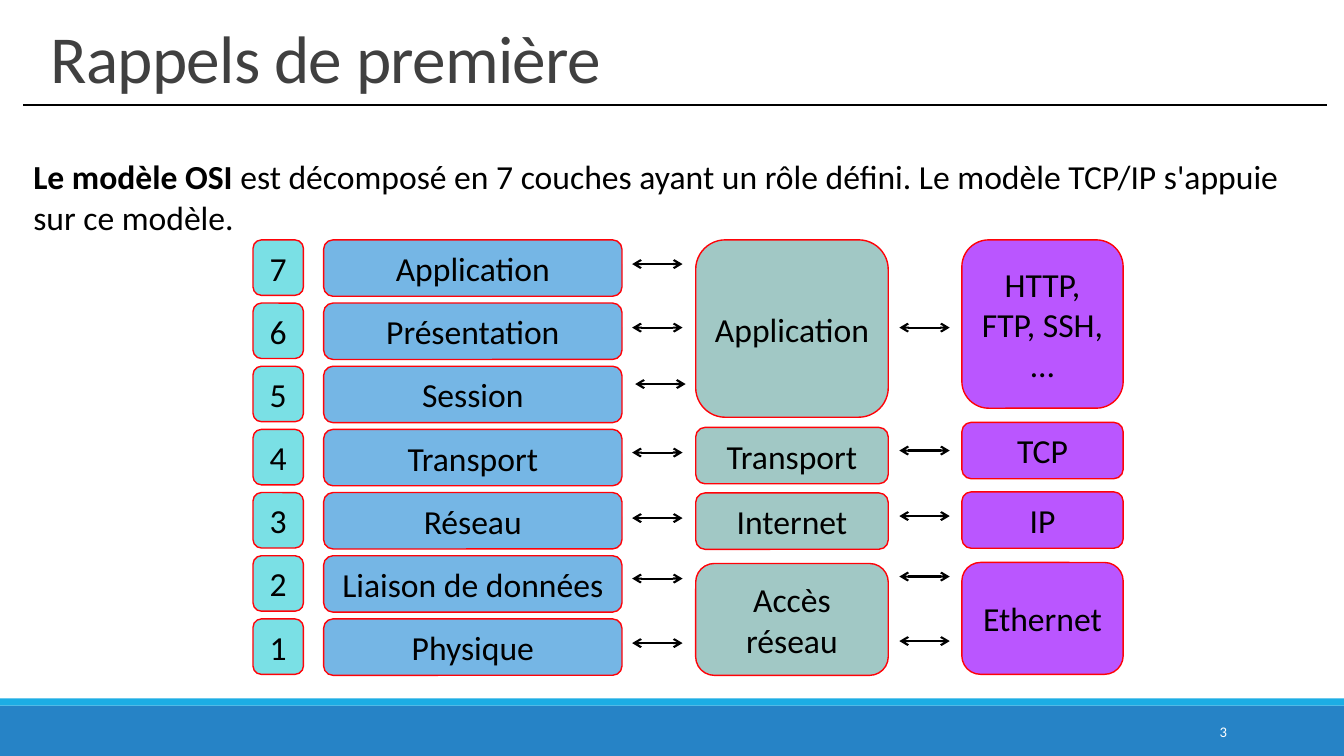
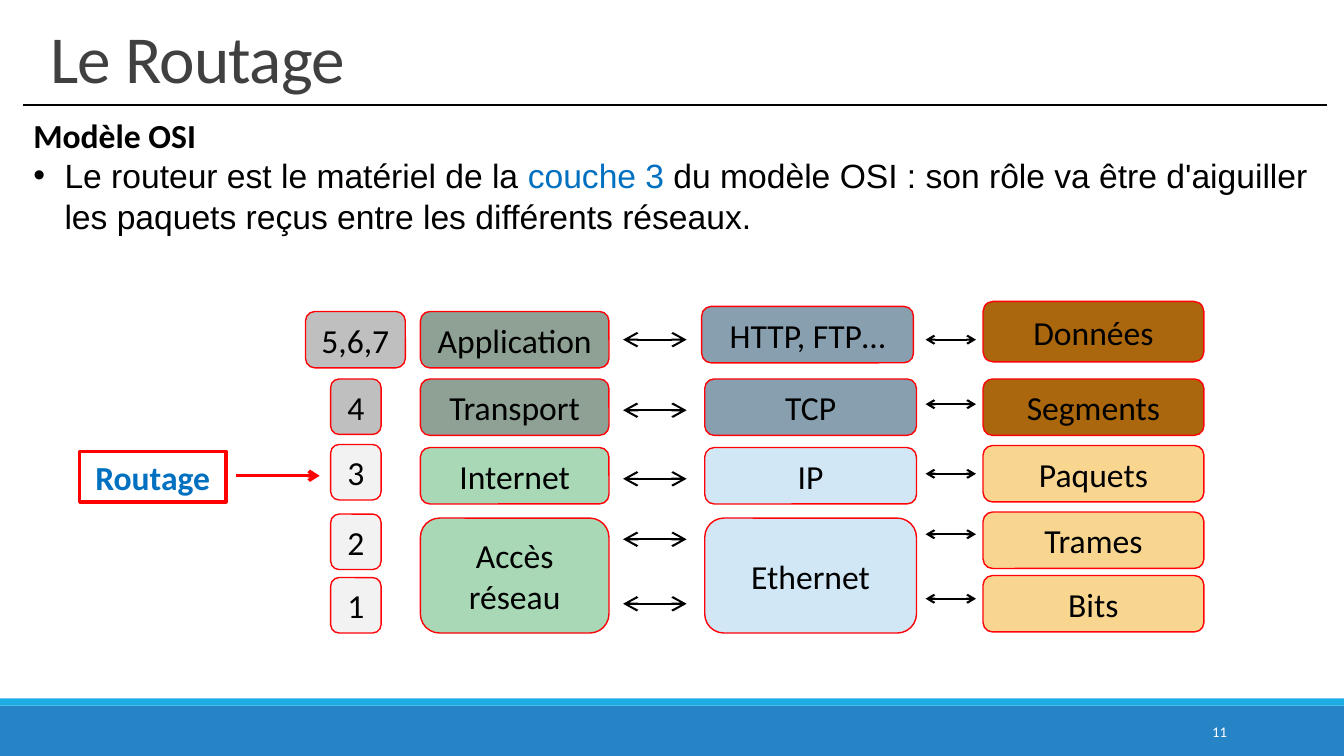
from dataclasses import dataclass
from typing import NamedTuple, Optional

from lxml import etree
from pptx import Presentation
from pptx import util as u
from pptx.dml.color import RGBColor
from pptx.enum import shapes, text
from pptx.oxml import ns

SLIDE_WIDTH, SLIDE_HEIGHT = 13.33, 7.5
MARGIN, CONTENT_WIDTH = 0.23, 12.93
BOX_HEIGHT, NUMBER_HEIGHT = 0.56, 0.55
STACK_TOP, STACK_STEP = 2.38, (6.14 - 2.38) / 6
BODY_SIZE = 24
BULLET_INDENT = 0.31

BLACK = RGBColor(0x00, 0x00, 0x00)
WHITE = RGBColor(0xFF, 0xFF, 0xFF)
TITLE_GREY = RGBColor(0x40, 0x40, 0x40)
BAND_BLUE = RGBColor(0x26, 0x83, 0xC6)
STRIPE_BLUE = RGBColor(0x1C, 0xAD, 0xE4)
ACCENT_BLUE = RGBColor(0x00, 0x70, 0xC0)
BOX_RED = RGBColor(0xFF, 0x02, 0x08)
PURE_RED = RGBColor(0xFF, 0x00, 0x00)


class Paint(NamedTuple):
    color: RGBColor
    opacity: int = 100


TURQUOISE = Paint(RGBColor(0x7A, 0xE0, 0xE5))
SKY = Paint(RGBColor(0x75, 0xB6, 0xE5))
SAGE = Paint(RGBColor(0xA1, 0xC8, 0xC5))
VIOLET = Paint(RGBColor(0xBA, 0x56, 0xFF))
GREY = Paint(RGBColor(0x80, 0x80, 0x80), 50)
PALE_GREY = Paint(RGBColor(0xF2, 0xF2, 0xF2))
DARK_GREEN = Paint(RGBColor(0x1F, 0x44, 0x2A), 50)
MINT = Paint(RGBColor(0xA9, 0xD8, 0xB7))
NAVY = Paint(RGBColor(0x13, 0x41, 0x63), 50)
ICE = Paint(RGBColor(0xD1, 0xE7, 0xF6))
BROWN = Paint(RGBColor(0xAB, 0x67, 0x0D))
SAND = Paint(RGBColor(0xF9, 0xD6, 0x8F))


class Cell(NamedTuple):
    label: str
    top: float
    paint: Paint
    height: float = BOX_HEIGHT


class Span(NamedTuple):
    words: str
    bold: bool = False
    color: RGBColor = BLACK


class Para(NamedTuple):
    spans: list[Span]
    font: str = "Calibri"
    bullet: bool = False


@dataclass(frozen=True)
class Column:
    left: float
    width: float
    cells: list[Cell]


@dataclass(frozen=True)
class ArrowLane:
    left: float
    width: float
    levels: list[float]
    head: str = "med"


@dataclass(frozen=True)
class Lesson:
    title: str
    number: int
    body_top: float
    body_height: float
    body: list[Para]
    columns: list[Column]
    lanes: list[ArrowLane]


def stack(labels: list[str], paint: Paint, height: float) -> list[Cell]:
    return [Cell(label, STACK_TOP + row * STACK_STEP, paint, height)
            for row, label in enumerate(labels)]


def style_font(font, size: float, color: RGBColor, name: str = "Calibri", bold: bool = False) -> None:
    font.size, font.name, font.bold = u.Pt(size), name, bold
    font.color.rgb = color


def place(shape, left: float, top: float, width: float, height: float) -> None:
    shape.left, shape.top = u.Inches(left), u.Inches(top)
    shape.width, shape.height = u.Inches(width), u.Inches(height)


def add_box(page, preset, left: float, top: float, width: float, height: float,
            paint: Optional[Paint] = None, border: Optional[RGBColor] = None,
            weight: float = 1):
    box = page.shapes.add_shape(preset, u.Inches(left), u.Inches(top),
                                u.Inches(width), u.Inches(height))
    box.shadow.inherit = False
    if paint:
        box.fill.solid()
        box.fill.fore_color.rgb = paint.color
        if paint.opacity < 100:
            tint = box._element.spPr.find(".//" + ns.qn("a:srgbClr"))
            etree.SubElement(tint, ns.qn("a:alpha")).set("val", str(paint.opacity * 1000))
    else:
        box.fill.background()
    if border:
        box.line.color.rgb = border
        box.line.width = u.Pt(weight)
    else:
        box.line.fill.background()
    return box


def write_label(box, label: str, size: float = BODY_SIZE, color: RGBColor = BLACK,
                bold: bool = False, align=text.PP_ALIGN.CENTER) -> None:
    frame = box.text_frame
    frame.word_wrap = True
    frame.vertical_anchor = text.MSO_ANCHOR.MIDDLE
    frame.margin_left = frame.margin_right = u.Inches(0.09)
    para = frame.paragraphs[0]
    para.text, para.alignment = label, align
    style_font(para.font, size, color, bold=bold)


def add_line(page, left: float, level: float, width: float, color: RGBColor = BLACK,
             weight: float = 1.5, start: bool = False, end: bool = False,
             head: str = "med") -> None:
    line = page.shapes.add_connector(
        shapes.MSO_CONNECTOR.STRAIGHT, u.Inches(left), u.Inches(level),
        u.Inches(left + width), u.Inches(level))
    line.line.color.rgb = color
    line.line.width = u.Pt(weight)
    properties = line._element.spPr
    outline = properties.find(ns.qn("a:ln"))
    for tag, shown in (("a:headEnd", start), ("a:tailEnd", end)):
        if shown:
            tip = etree.SubElement(outline, ns.qn(tag))
            tip.set("type", "arrow")
            tip.set("w", head)
            tip.set("len", head)
    etree.SubElement(properties, ns.qn("a:effectLst"))


def add_frame(page, title: str, number: int) -> None:
    for top, height, color in ((7, 0.5, BAND_BLUE), (6.93, 0.07, STRIPE_BLUE)):
        add_box(page, shapes.MSO_SHAPE.RECTANGLE, 0, top, SLIDE_WIDTH, height, Paint(color))
    footer = page.shapes.add_textbox(u.Inches(10.83), u.Inches(7.06),
                                     u.Inches(1.43), u.Inches(0.4))
    write_label(footer, str(number), 10.5, WHITE, align=text.PP_ALIGN.RIGHT)
    heading = page.shapes.title
    place(heading, 0.4, 0.15, CONTENT_WIDTH, 0.86)
    frame = heading.text_frame
    frame.auto_size = text.MSO_AUTO_SIZE.NONE
    frame.vertical_anchor = text.MSO_ANCHOR.BOTTOM
    para = frame.paragraphs[0]
    para.text, para.alignment, para.line_spacing = title, text.PP_ALIGN.LEFT, 0.85
    style_font(para.font, 48, TITLE_GREY)
    para.runs[0]._r.get_or_add_rPr().set("spc", "-50")
    add_line(page, MARGIN, 1.04, CONTENT_WIDTH, weight=1.25)


def write_body(page, lesson: Lesson) -> None:
    body = page.placeholders[1]
    place(body, MARGIN, lesson.body_top, CONTENT_WIDTH, lesson.body_height)
    frame = body.text_frame
    frame.auto_size = text.MSO_AUTO_SIZE.NONE
    frame.vertical_anchor = text.MSO_ANCHOR.TOP
    for index, item in enumerate(lesson.body):
        para = frame.add_paragraph() if index else frame.paragraphs[0]
        properties = para._p.get_or_add_pPr()
        indent = u.Inches(BULLET_INDENT) if item.bullet else 0
        properties.set("marL", str(indent))
        properties.set("indent", str(-indent))
        if item.bullet:
            etree.SubElement(properties, ns.qn("a:buFont")).set("typeface", "Arial")
            etree.SubElement(properties, ns.qn("a:buChar")).set("char", "•")
        else:
            etree.SubElement(properties, ns.qn("a:buNone"))
        para.space_before = u.Pt(0)
        para.alignment = text.PP_ALIGN.LEFT
        style_font(para.font, BODY_SIZE, BLACK, item.font)
        for part in item.spans:
            span = para.add_run()
            span.text = part.words
            span.font.bold = part.bold
            span.font.color.rgb = part.color


def add_lesson(deck, lesson: Lesson):
    page = deck.slides.add_slide(deck.slide_layouts[1])
    add_frame(page, lesson.title, lesson.number)
    write_body(page, lesson)
    for column in lesson.columns:
        for cell in column.cells:
            box = add_box(page, shapes.MSO_SHAPE.ROUNDED_RECTANGLE, column.left, cell.top,
                          column.width, cell.height, cell.paint, BOX_RED)
            write_label(box, cell.label)
    for lane in lesson.lanes:
        for level in lane.levels:
            add_line(page, lane.left, level, lane.width, start=True, end=True, head=lane.head)
    return page


def add_routing_marker(page) -> None:
    marker = add_box(page, shapes.MSO_SHAPE.RECTANGLE, 0.79, 4.48, 1.45, 0.5,
                     border=PURE_RED, weight=2.5)
    write_label(marker, "Routage", color=ACCENT_BLUE, bold=True)
    add_line(page, 2.34, 4.72, 0.83, PURE_RED, 2.5, end=True)


REMINDERS = Lesson(
    "Rappels de première", 3, 1.5, 0.9,
    [Para([Span("Le modèle OSI ", bold=True),
           Span("est décomposé en 7 couches ayant un rôle défini. "
                "Le modèle TCP/IP s'appuie sur ce modèle.")])],
    [Column(2.51, 0.5, stack(list("7654321"), TURQUOISE, NUMBER_HEIGHT)),
     Column(3.21, 2.96, stack(["Application", "Présentation", "Session", "Transport", "Réseau",
                               "Liaison de données", "Physique"], SKY, BOX_HEIGHT)),
     Column(6.9, 1.91, [Cell("Application", STACK_TOP, SAGE, 1.76),
                        Cell("Transport", 4.24, SAGE),
                        Cell("Internet", 4.89, SAGE),
                        Cell("Accès réseau", 5.59, SAGE, 1.11)]),
     Column(9.54, 1.6, [Cell("HTTP, FTP, SSH, …", STACK_TOP, VIOLET, 1.67),
                        Cell("TCP", 4.19, VIOLET),
                        Cell("IP", 4.88, VIOLET),
                        Cell("Ethernet", 5.58, VIOLET, 1.11)])],
    [ArrowLane(6.27, 0.5, [2.62, 3.25, 4.49, 5.14, 5.74, 6.38]),
     ArrowLane(6.3, 0.5, [3.81]),
     ArrowLane(8.92, 0.5, [3.25, 4.47, 5.12, 5.72, 6.36])])

ROUTING = Lesson(
    "Le Routage", 11, 1.09, 1.72,
    [Para([Span("Modèle OSI", bold=True)]),
     Para([Span("Le routeur est le matériel de la "),
           Span("couche 3", color=ACCENT_BLUE),
           Span(" du modèle OSI : son rôle va être d'aiguiller les paquets reçus "
                "entre les différents réseaux.")], "Arial", True)],
    [Column(3.03, 0.99, [Cell("5,6,7", 3.09, GREY)]),
     Column(3.28, 0.5, [Cell("4", 3.76, GREY, NUMBER_HEIGHT),
                        Cell("3", 4.41, PALE_GREY, NUMBER_HEIGHT),
                        Cell("2", 5.1, PALE_GREY, NUMBER_HEIGHT),
                        Cell("1", 5.73, PALE_GREY, NUMBER_HEIGHT)]),
     Column(4.17, 1.87, [Cell("Application", 3.09, DARK_GREEN),
                         Cell("Transport", 3.76, DARK_GREEN),
                         Cell("Internet", 4.44, MINT),
                         Cell("Accès réseau", 5.14, MINT, 1.14)]),
     Column(6.96, 2.1, [Cell("HTTP, FTP…", 3.04, NAVY)]),
     Column(6.99, 2.1, [Cell("TCP", 3.76, NAVY),
                        Cell("IP", 4.44, ICE),
                        Cell("Ethernet", 5.14, ICE, 1.14)]),
     Column(9.75, 2.19, [Cell("Données", 2.99, BROWN, 0.6),
                         Cell("Segments", 3.76, BROWN),
                         Cell("Paquets", 4.42, SAND),
                         Cell("Trames", 5.08, SAND),
                         Cell("Bits", 5.71, SAND)])],
    [ArrowLane(6.18, 0.63, [3.37, 4.07, 4.75, 5.35, 5.99], "lg"),
     ArrowLane(9.18, 0.5, [3.37, 4.01, 4.7, 5.3, 5.94])])


def main() -> None:
    deck = Presentation()
    deck.slide_width, deck.slide_height = u.Inches(SLIDE_WIDTH), u.Inches(SLIDE_HEIGHT)
    add_lesson(deck, REMINDERS)
    add_routing_marker(add_lesson(deck, ROUTING))
    deck.save("out.pptx")


if __name__ == "__main__":
    main()
